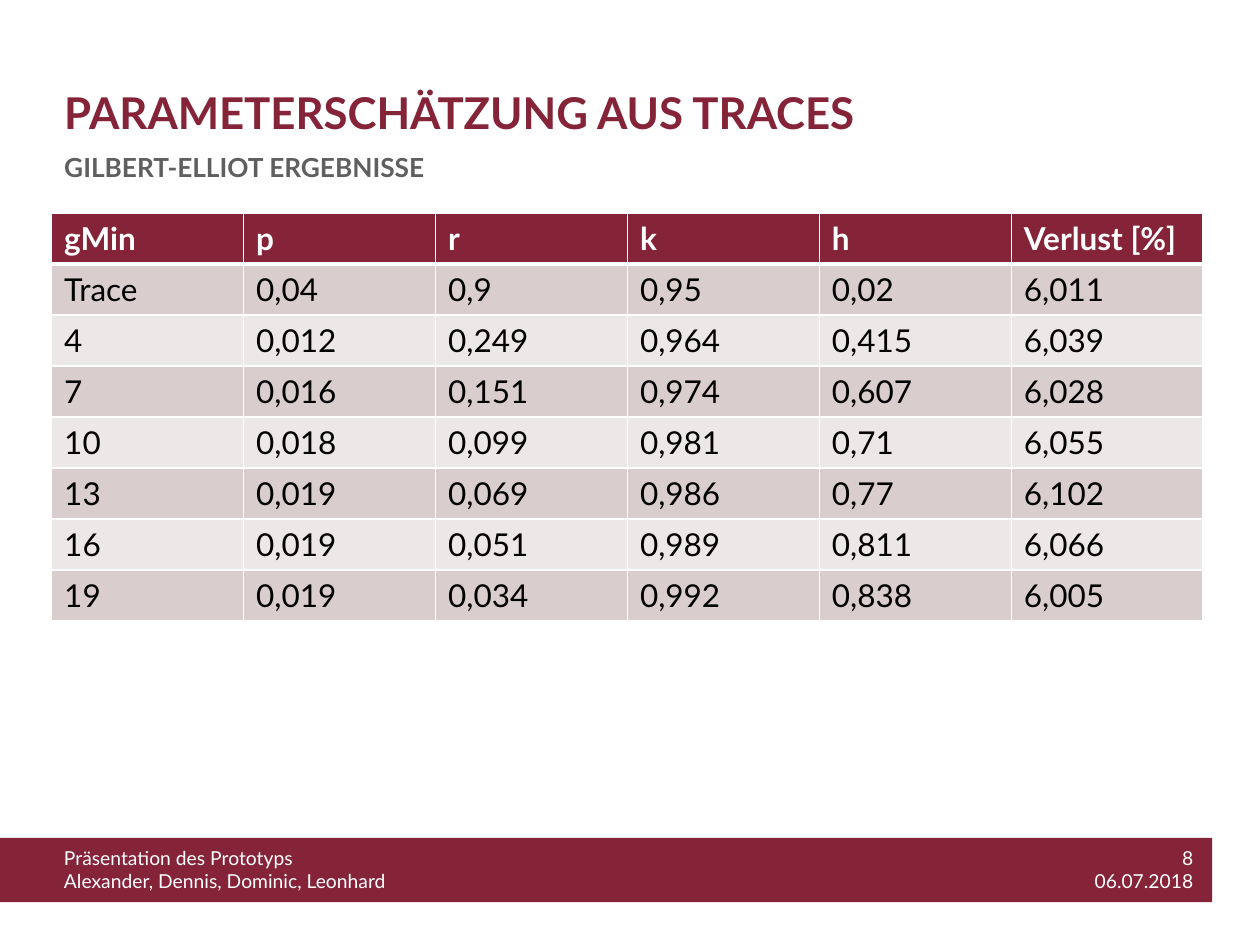
from lxml import etree
from pptx import Presentation
from pptx.dml.color import RGBColor
from pptx.enum.shapes import MSO_SHAPE
from pptx.enum.text import MSO_ANCHOR, MSO_AUTO_SIZE, PP_ALIGN
from pptx.oxml.ns import qn
from pptx.util import Inches, Pt

LEFT, RIGHT = PP_ALIGN.LEFT, PP_ALIGN.RIGHT
TOP, MIDDLE = MSO_ANCHOR.TOP, MSO_ANCHOR.MIDDLE
RECTANGLE = MSO_SHAPE.RECTANGLE
NO_AUTOFIT = MSO_AUTO_SIZE.NONE

COLORS = {
    "wine": "852339",
    "grey": "5F5F5F",
    "white": "FFFFFF",
    "black": "000000",
    "rose": "D9CDCE",
    "pale": "EDE8E8",
}

HEADER = ["gMin", "p", "r", "k", "h", "Verlust [%]"]
RESULTS = [
    ["Trace", "0,04", "0,9", "0,95", "0,02", "6,011"],
    ["4", "0,012", "0,249", "0,964", "0,415", "6,039"],
    ["7", "0,016", "0,151", "0,974", "0,607", "6,028"],
    ["10", "0,018", "0,099", "0,981", "0,71", "6,055"],
    ["13", "0,019", "0,069", "0,986", "0,77", "6,102"],
    ["16", "0,019", "0,051", "0,989", "0,811", "6,066"],
    ["19", "0,019", "0,034", "0,992", "0,838", "6,005"],
]


class SlideBuilder:
    font = "Lato"
    columns, rows = 100, 75

    def __init__(self, deck):
        self.width, self.height = deck.slide_width, deck.slide_height
        self.slide = deck.slides.add_slide(deck.slide_layouts[1])

    def box(self, column, row, wide, high):
        across, down = self.width / self.columns, self.height / self.rows
        return [int(v) for v in (column * across, row * down, wide * across, high * down)]

    def style_text(self, paragraph, text, size, color, bold=False, align=LEFT, after=0):
        paragraph.text = text
        paragraph.alignment = align
        paragraph.space_before = Pt(0)
        paragraph.space_after = Pt(after)
        for run in paragraph.runs:
            run.font.name = self.font
            run.font.size = Pt(size)
            run.font.bold = bold
            run.font.color.rgb = RGBColor.from_string(COLORS[color])

    def heading(self, index, grid, text, size, color, anchor, after=0):
        heading = self.slide.placeholders[index]
        heading.left, heading.top, heading.width, heading.height = self.box(*grid)
        frame = heading.text_frame
        frame.auto_size = NO_AUTOFIT
        frame.vertical_anchor = anchor
        paragraph = frame.paragraphs[0]
        self.style_text(paragraph, text, size, color, True, after=after)
        properties = paragraph._p.get_or_add_pPr()
        properties.set("marL", "0")
        properties.set("indent", "0")
        etree.SubElement(properties, qn("a:buNone"))

    def band(self, grid, color):
        band = self.slide.shapes.add_shape(RECTANGLE, *self.box(*grid))
        band.shadow.inherit = False
        band.fill.solid()
        band.fill.fore_color.rgb = RGBColor.from_string(COLORS[color])
        band.line.fill.background()

    def label(self, grid, text, align=LEFT):
        frame = self.slide.shapes.add_textbox(*self.box(*grid)).text_frame
        frame.word_wrap = True
        self.style_text(frame.paragraphs[0], text, 11, "white", align=align, after=3)

    def border(self, cell, side, points):
        properties = cell._tc.get_or_add_tcPr()
        line = etree.SubElement(properties, qn(f"a:ln{side}"), w=str(Pt(points)))
        fill = etree.SubElement(line, qn("a:solidFill"))
        etree.SubElement(fill, qn("a:srgbClr"), val=COLORS["white"])

    def table(self, grid, records):
        place = self.box(*grid)
        table = self.slide.shapes.add_table(len(records), len(records[0]), *place).table
        for row, record in enumerate(records):
            header = row == 0
            fill = "wine" if header else ("pale", "rose")[row % 2]
            widths = {"L": 1, "R": 1, "T": 3 if row == 1 else 1, "B": 3 if header else 1}
            for column, value in enumerate(record):
                cell = table.cell(row, column)
                for side, points in widths.items():
                    self.border(cell, side, points)
                cell.fill.solid()
                cell.fill.fore_color.rgb = RGBColor.from_string(COLORS[fill])
                self.style_text(cell.text_frame.paragraphs[0], value, 18,
                                "white" if header else "black", header)


def main():
    deck = Presentation()
    deck.slide_width, deck.slide_height = Inches(10), Inches(7.5)
    page = SlideBuilder(deck)
    page.band((0, 66.5, 96.2, 5.1), "wine")
    page.label((4.1, 66.7, 50.6, 4.7),
               "Präsentation des Prototyps\nAlexander, Dennis, Dominic, Leonhard")
    page.label((82.3, 66.7, 13.4, 4.7), "8\n06.07.2018", RIGHT)
    page.table((4.1, 16.9, 91.4, 32.4), [HEADER] + RESULTS)
    page.heading(1, (4.1, 11.5, 71.2, 3.1), "GILBERT-ELLIOT ERGEBNISSE", 15, "grey", TOP, 3)
    page.heading(0, (4.1, 6.3, 71.1, 5.2), "PARAMETERSCHÄTZUNG AUS TRACES", 25, "wine", MIDDLE)
    deck.save("out.pptx")


if __name__ == "__main__":
    main()
